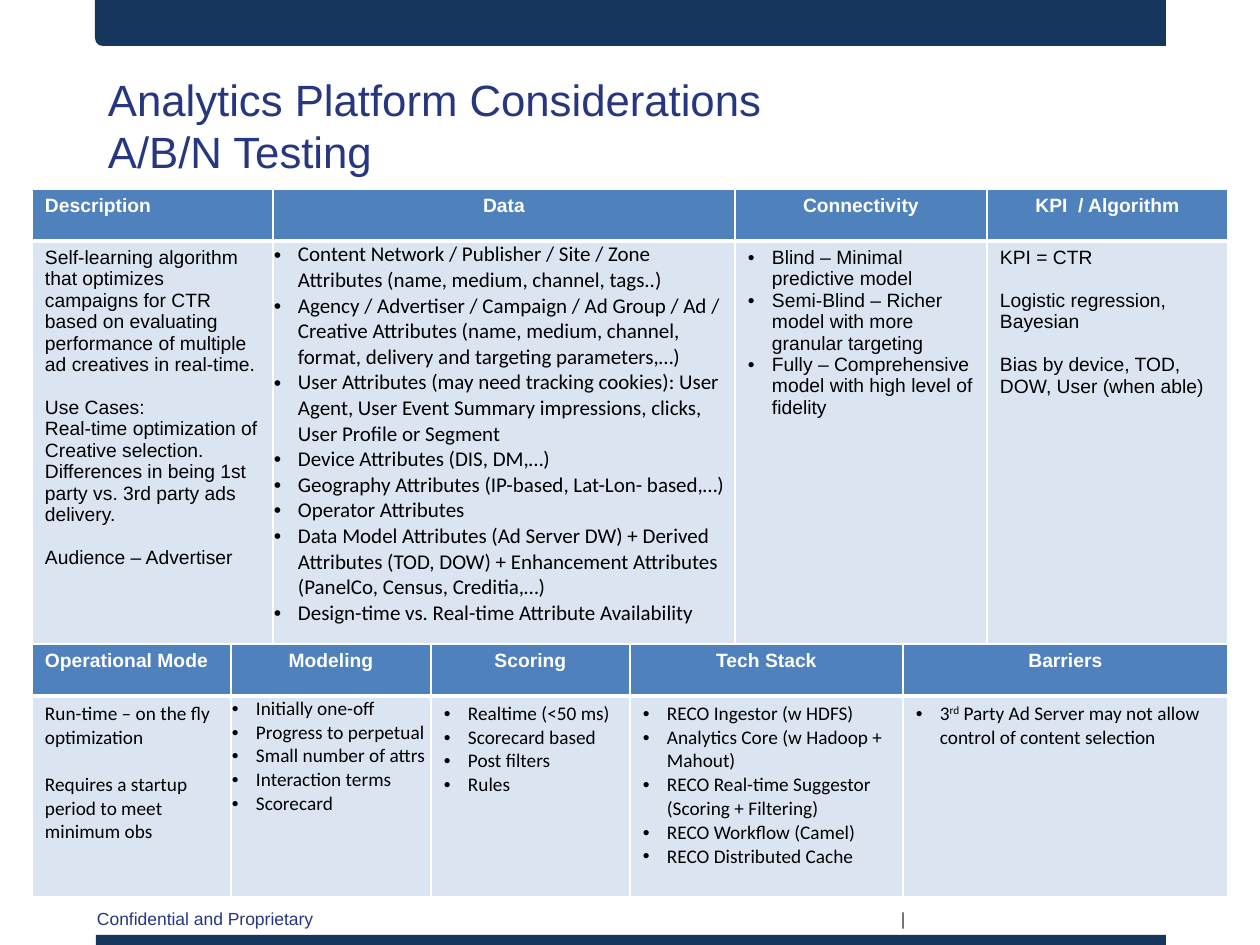
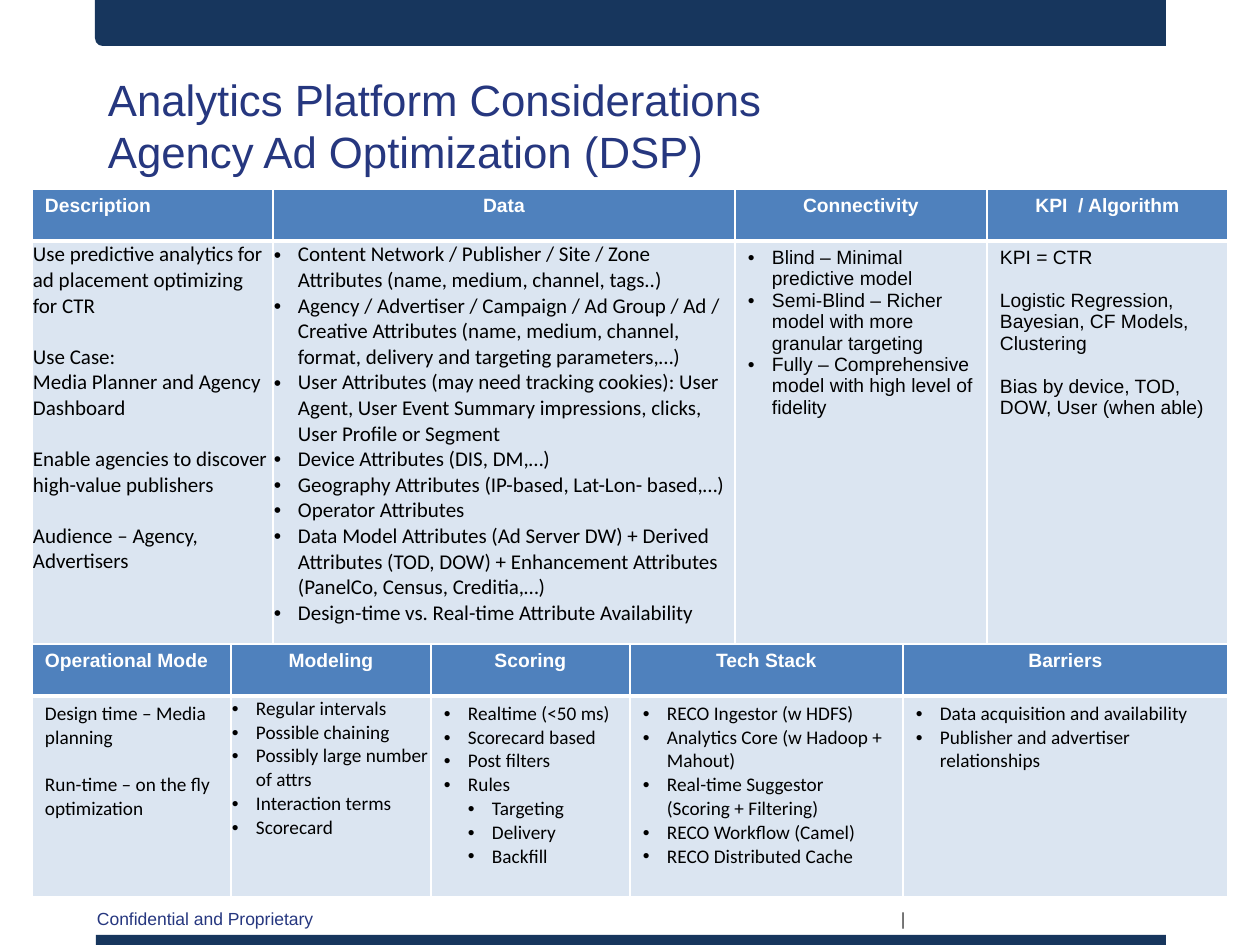
from lxml import etree
from pptx import Presentation
from pptx.dml.color import RGBColor
from pptx.enum.shapes import MSO_SHAPE
from pptx.enum.text import PP_ALIGN
from pptx.oxml.ns import qn
from pptx.util import Pt

PX = 914400 / 126
CENTER, LEFT = PP_ALIGN.CENTER, PP_ALIGN.LEFT
RECTANGLE, ROUND_ONE = MSO_SHAPE.RECTANGLE, MSO_SHAPE.ROUND_1_RECTANGLE

COLORS = {
    "band": "17365D", "title": "26377F", "divider": "404040",
    "header": "4F81BD", "body": "DBE5F1", "white": "FFFFFF", "black": "000000",
}
ROOMY = {"margin_left": 13, "margin_top": 6, "margin_right": 13, "margin_bottom": 6}
TIGHT = {"margin_left": 1, "margin_top": 1, "margin_right": 1, "margin_bottom": 0}

# gap: points between blocks of prose, one line high
STYLES = {
    "header": {"font": {"name": "Arial", "size": Pt(11), "bold": True},
               "color": "white", "margins": ROOMY, "gap": 0},
    "arial": {"font": {"name": "Arial", "size": Pt(11), "bold": False},
              "color": "black", "margins": ROOMY, "gap": 12.3},
    "calibri": {"font": {"name": "Calibri", "size": Pt(11), "bold": False},
                "color": "black", "margins": ROOMY, "gap": 13.4},
    "calibri tight": {"font": {"name": "Calibri", "size": Pt(11), "bold": False},
                      "color": "black", "margins": TIGHT, "gap": 13.4},
    "calibri large": {"font": {"name": "Calibri", "size": Pt(12), "bold": False},
                      "color": "black", "margins": TIGHT, "gap": 14.6},
}

TABLE_LEFT, HEADER_HEIGHT = 32, 52
OVERVIEW = {"top": 189, "body_height": 403, "widths": [241, 462, 252, 241],
            "headers": ["Description", "Data", "Connectivity", "KPI  / Algorithm"]}
OPERATION = {"top": 644, "body_height": 201, "widths": [199, 200, 199, 273, 325],
             "headers": ["Operational Mode", "Modeling", "Scoring", "Tech Stack", "Barriers"]}

# A cell is (style, kind, content). Prose is a list of blocks of paragraphs;
# in bullets an inner list is the second level, and ^ marks superscript.
DATA = ("calibri large", "bullets", [
    "Content Network / Publisher / Site / Zone Attributes (name, medium, channel, tags..)",
    "Agency / Advertiser / Campaign / Ad Group / Ad / Creative Attributes "
    "(name, medium, channel, format, delivery and targeting parameters,…)",
    "User Attributes (may need tracking cookies): User Agent, User Event Summary "
    "impressions, clicks, User Profile or Segment",
    "Device Attributes (DIS, DM,…)",
    "Geography Attributes (IP-based, Lat-Lon- based,…)",
    "Operator Attributes",
    "Data Model Attributes (Ad Server DW) + Derived Attributes (TOD, DOW) + "
    "Enhancement Attributes (PanelCo, Census, Creditia,…)",
    "Design-time vs. Real-time Attribute Availability",
])
CONNECTIVITY = ("arial", "bullets", [
    "Blind – Minimal predictive model",
    "Semi-Blind – Richer model with more granular targeting",
    "Fully – Comprehensive model with high level of fidelity",
])
SCORING = ["Realtime (<50 ms)", "Scorecard based", "Post filters", "Rules"]
BIAS = "Bias by device, TOD, DOW, User (when able)"


def tech_stack(suggestor):
    return ("calibri", "bullets", [
        "RECO Ingestor (w HDFS)", "Analytics Core (w Hadoop + Mahout)",
        f"{suggestor} (Scoring + Filtering)", "RECO Workflow (Camel)",
        "RECO Distributed Cache"])


SLIDES = [
    {
        "topic": "A/B/N Testing",
        "overview": [
            ("arial", "prose", [
                ["Self-learning algorithm that optimizes campaigns for CTR based on "
                 "evaluating performance of multiple ad creatives in real-time."],
                ["Use Cases:",
                 "Real-time optimization of Creative selection. Differences in being "
                 "1st party vs. 3rd party ads delivery."],
                ["Audience – Advertiser"]]),
            DATA,
            CONNECTIVITY,
            ("arial", "prose", [["KPI = CTR"], ["Logistic regression, Bayesian"], [BIAS]]),
        ],
        "operation": [
            ("calibri", "prose", [["Run-time – on the fly optimization"],
                                  ["Requires a startup period to meet minimum obs"]]),
            ("calibri tight", "bullets", [
                "Initially one-off", "Progress to perpetual", "Small number of attrs",
                "Interaction terms", "Scorecard"]),
            ("calibri", "bullets", SCORING),
            tech_stack("RECO Real-time Suggestor"),
            ("calibri", "bullets", [
                "3^rd^ Party Ad Server may not allow control of content selection"]),
        ],
    },
    {
        "topic": "Agency Ad Optimization (DSP)",
        "overview": [
            ("calibri large", "prose", [
                ["Use predictive analytics for ad placement optimizing for CTR"],
                ["Use Case:", "Media Planner and Agency Dashboard"],
                ["Enable agencies to discover high-value publishers"],
                ["Audience – Agency, Advertisers"]]),
            DATA,
            CONNECTIVITY,
            ("arial", "prose", [["KPI = CTR"],
                                ["Logistic Regression, Bayesian, CF Models, Clustering"],
                                [BIAS]]),
        ],
        "operation": [
            ("calibri", "prose", [["Design time – Media planning"],
                                  ["Run-time – on the fly optimization"]]),
            ("calibri tight", "bullets", [
                "Regular intervals", "Possible chaining", "Possibly large number of attrs",
                "Interaction terms", "Scorecard"]),
            ("calibri", "bullets", SCORING + [["Targeting", "Delivery", "Backfill"]]),
            tech_stack("Real-time Suggestor"),
            ("calibri", "bullets", ["Data acquisition and availability",
                                    "Publisher and advertiser relationships"]),
        ],
    },
]


def px(length):
    return round(length * PX)


def rgb(color):
    return RGBColor.from_string(COLORS[color])


def set_values(target, values):
    for name, value in values.items():
        setattr(target, name, value)


def add_band(slide, kind, place, rotation=0):
    band = slide.shapes.add_shape(kind, *map(px, place))
    band.shadow.inherit = False
    band.rotation = rotation
    band.fill.solid()
    band.fill.fore_color.rgb = rgb("band")
    band.line.fill.background()


def add_text(slide, place, lines, size, color, spacing=None):
    frame = slide.shapes.add_textbox(*map(px, place)).text_frame
    frame.word_wrap = True
    set_values(frame, {name: px(value) for name, value in ROOMY.items()})
    frame.text = "\n".join(lines)
    for para in frame.paragraphs:
        para.line_spacing = spacing
        set_values(para.font, {"name": "Arial", "size": Pt(size)})
        para.font.color.rgb = rgb(color)


def add_bullet(para, level):
    properties = para._p.get_or_add_pPr()
    properties.set("marL", str(px(24 * (level + 1))))
    properties.set("indent", str(px(-24)))
    para.level = level
    bullet_color = etree.SubElement(properties, qn("a:buClr"))
    etree.SubElement(bullet_color, qn("a:srgbClr"), val=COLORS["black"])
    etree.SubElement(properties, qn("a:buFont"), typeface="Arial")
    etree.SubElement(properties, qn("a:buChar"), char="•")


def flatten(kind, content):
    """Yield (text, bullet level or None, whether a gap comes before)."""
    for index, item in enumerate(content):
        if kind == "prose":
            for line, text in enumerate(item):
                yield text, None, index > 0 and line == 0
        elif isinstance(item, list):
            for text in item:
                yield text, 1, False
        else:
            yield item, 0, False


def set_borders(cell, widths):
    properties = cell._tc.get_or_add_tcPr()
    for index, (side, width) in enumerate(widths.items()):
        line = etree.Element(qn(f"a:ln{side}"), w=str(Pt(width)))
        fill = etree.SubElement(line, qn("a:solidFill"))
        etree.SubElement(fill, qn("a:srgbClr"), val=COLORS["white"])
        properties.insert(index, line)


def fill_cell(cell, style_name, kind, content, fill, borders, align=LEFT):
    style = STYLES[style_name]
    set_values(cell, {name: px(value) for name, value in style["margins"].items()})
    cell.fill.solid()
    cell.fill.fore_color.rgb = rgb(fill)
    set_borders(cell, borders)
    frame = cell.text_frame
    for index, (text, level, gap) in enumerate(flatten(kind, content)):
        para = frame.add_paragraph() if index else frame.paragraphs[0]
        para.alignment = align
        if gap:
            para.space_before = Pt(style["gap"])
        if level is not None:
            add_bullet(para, level)
        for part, words in enumerate(text.split("^")):
            span = para.add_run()
            span.text = words
            set_values(span.font, style["font"])
            span.font.color.rgb = rgb(style["color"])
            if part % 2:
                span._r.get_or_add_rPr().set("baseline", "30000")


def add_grid(slide, grid, cells):
    widths, heights = grid["widths"], [HEADER_HEIGHT, grid["body_height"]]
    place = TABLE_LEFT, grid["top"], sum(widths), sum(heights)
    table = slide.shapes.add_table(2, len(widths), *map(px, place)).table
    table.horz_banding = False
    for row, height in zip(table.rows, heights):
        row.height = px(height)
    for index, (width, header, body) in enumerate(zip(widths, grid["headers"], cells)):
        table.columns[index].width = px(width)
        fill_cell(table.cell(0, index), "header", "prose", [[header]], "header",
                  {"L": 1, "R": 1, "T": 1, "B": 3}, CENTER if index else LEFT)
        fill_cell(table.cell(1, index), *body, "body", {"L": 1, "R": 1, "T": 3, "B": 1})


def main():
    deck = Presentation()
    deck.slide_width, deck.slide_height = px(1260), px(945)
    for page in SLIDES:
        slide = deck.slides.add_slide(deck.slide_layouts[6])
        add_band(slide, RECTANGLE, (96, 935, 1070, 10))
        add_band(slide, ROUND_ONE, (95, 0, 1071, 46), rotation=180)
        add_text(slide, (84, 902, 245, 34), ["Confidential and Proprietary"], 10, "title")
        add_text(slide, (888, 902, 42, 34), ["|"], 10, "divider")
        add_text(slide, (95, 67, 1071, 116),
                 ["Analytics Platform Considerations", page["topic"]], 25, "title", Pt(29.7))
        add_grid(slide, OVERVIEW, page["overview"])
        add_grid(slide, OPERATION, page["operation"])
    deck.save("out.pptx")


if __name__ == "__main__":
    main()
